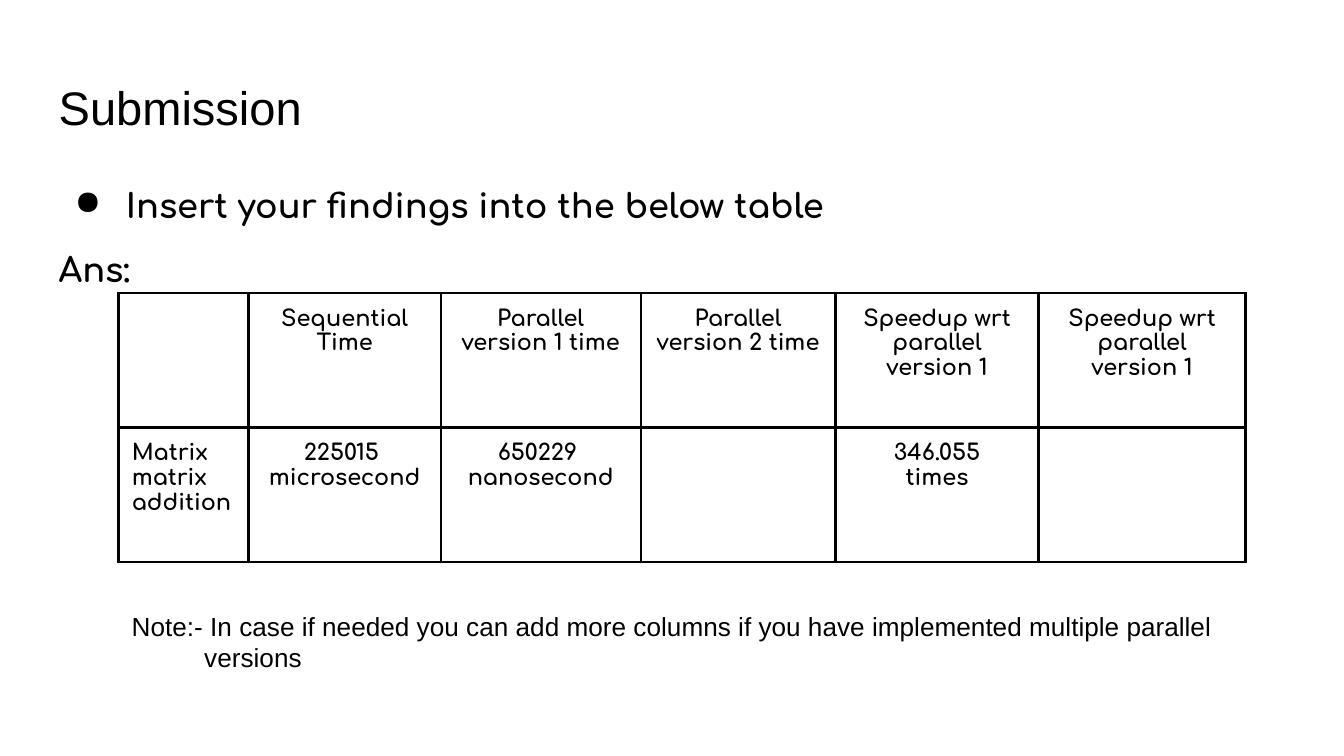
import pptx
import pptx.util
import pptx.dml.color
import pptx.enum.text
import pptx.oxml
import pptx.oxml.ns

Cm = pptx.util.Cm
Pt = pptx.util.Pt
ALIGN = pptx.enum.text.PP_ALIGN
INK = "000000"
PAD = Cm(0.25)
WIDTHS = [2.46, 3.63, 3.78, 3.68, 3.84, 3.91]
HEAD = [[], ["Sequential Time"], ["Parallel version 1 time"],
        ["Parallel version 2 time"],
        ["Speedup wrt parallel version 1"],
        ["Speedup wrt parallel version 1"]]
DATA = [["Matrix matrix addition"], ["225015 ", "microsecond"],
        ["650229 ", "nanosecond"], [], ["346.055", "times"], []]


def color(code):
    return pptx.dml.color.RGBColor.from_string(code)


def pad(item):
    """Give a text frame or a cell equal margins."""
    item.margin_left = item.margin_right = PAD
    item.margin_top = item.margin_bottom = PAD


def add_xml(parent, tag, body, place=None):
    """Insert one drawing element, at the end unless a place is given."""
    name = tag.split()[0]
    node = pptx.oxml.parse_xml(
        f'<a:{tag} {pptx.oxml.ns.nsdecls("a")}>{body}</a:{name}>')
    parent.insert(len(parent) if place is None else place, node)


def add_run(para, text, font, size, bold=False):
    run = para.add_run()
    run.text = text
    run.font.name = font
    run.font.size = Pt(size)
    run.font.bold = bold
    run.font.color.rgb = color(INK)


def add_para(frame, first):
    return frame.paragraphs[0] if first else frame.add_paragraph()


def add_box(slide, left, top, width, height):
    box = slide.shapes.add_textbox(Cm(left), Cm(top), Cm(width), Cm(height))
    frame = box.text_frame
    frame.word_wrap = True
    pad(frame)
    return frame


def indent(para, left, first=0):
    props = para._p.get_or_add_pPr()
    props.set("marL", str(Cm(left)))
    props.set("indent", str(Cm(first)))
    return props


def add_bullet(para):
    props = indent(para, 1.27, -0.97)
    add_xml(props, "buClr", f'<a:srgbClr val="{INK}"/>')
    add_xml(props, 'buChar char="●"', "")


def add_edges(cell):
    props = cell._tc.get_or_add_tcPr()
    line = f'<a:solidFill><a:srgbClr val="{INK}"/></a:solidFill>'
    for place, side in enumerate("LRTB"):
        add_xml(props, f'ln{side} w="{Pt(1.5)}"', line, place)


def fill_cell(cell, lines, align):
    pad(cell)
    cell.fill.background()
    add_edges(cell)
    for i, text in enumerate(lines):
        para = add_para(cell.text_frame, i == 0)
        para.alignment = align
        add_run(para, text, "Comfortaa", 12, True)


def add_grid(slide):
    rows = [HEAD, DATA]
    frame = slide.shapes.add_table(len(rows), len(WIDTHS), Cm(2.24), Cm(5.54),
                                   Cm(sum(WIDTHS)), Cm(5.08))
    table = frame.table
    table.first_row = table.horz_banding = False
    for col, width in zip(table.columns, WIDTHS):
        col.width = Cm(width)
    for r, row in enumerate(rows):
        table.rows[r].height = Cm(2.54)
        for c, lines in enumerate(row):
            align = ALIGN.CENTER if c else ALIGN.LEFT
            fill_cell(table.cell(r, c), lines, align)


def add_body(slide):
    frame = add_box(slide, 0.86, 3.2, 23.67, 3.1)
    lines = ["Insert your findings into the below table", "Ans:"]
    for i, text in enumerate(lines):
        para = add_para(frame, i == 0)
        para.line_spacing = 1.05
        if i == 0:
            add_bullet(para)
        else:
            para.space_before = para.space_after = Pt(12)
        add_run(para, text, "Comfortaa", 18, True)


def add_note(slide):
    frame = add_box(slide, 2.24, 11.28, 21.29, 1.7)
    lines = ["Note:- In case if needed you can add more columns "
             "if you have implemented multiple parallel", "versions"]
    for i, text in enumerate(lines):
        para = add_para(frame, i == 0)
        indent(para, 1.37 * i)
        add_run(para, text, "Arial", 14)


def main():
    deck = pptx.Presentation()
    deck.slide_width, deck.slide_height = Cm(25.4), Cm(14.29)
    slide = deck.slides.add_slide(deck.slide_layouts[6])
    title = add_box(slide, 0.86, 1.24, 23.67, 1.6)
    add_run(title.paragraphs[0], "Submission", "Arial", 25.2)
    add_body(slide)
    add_grid(slide)
    add_note(slide)
    deck.save("out.pptx")


if __name__ == "__main__":
    main()
